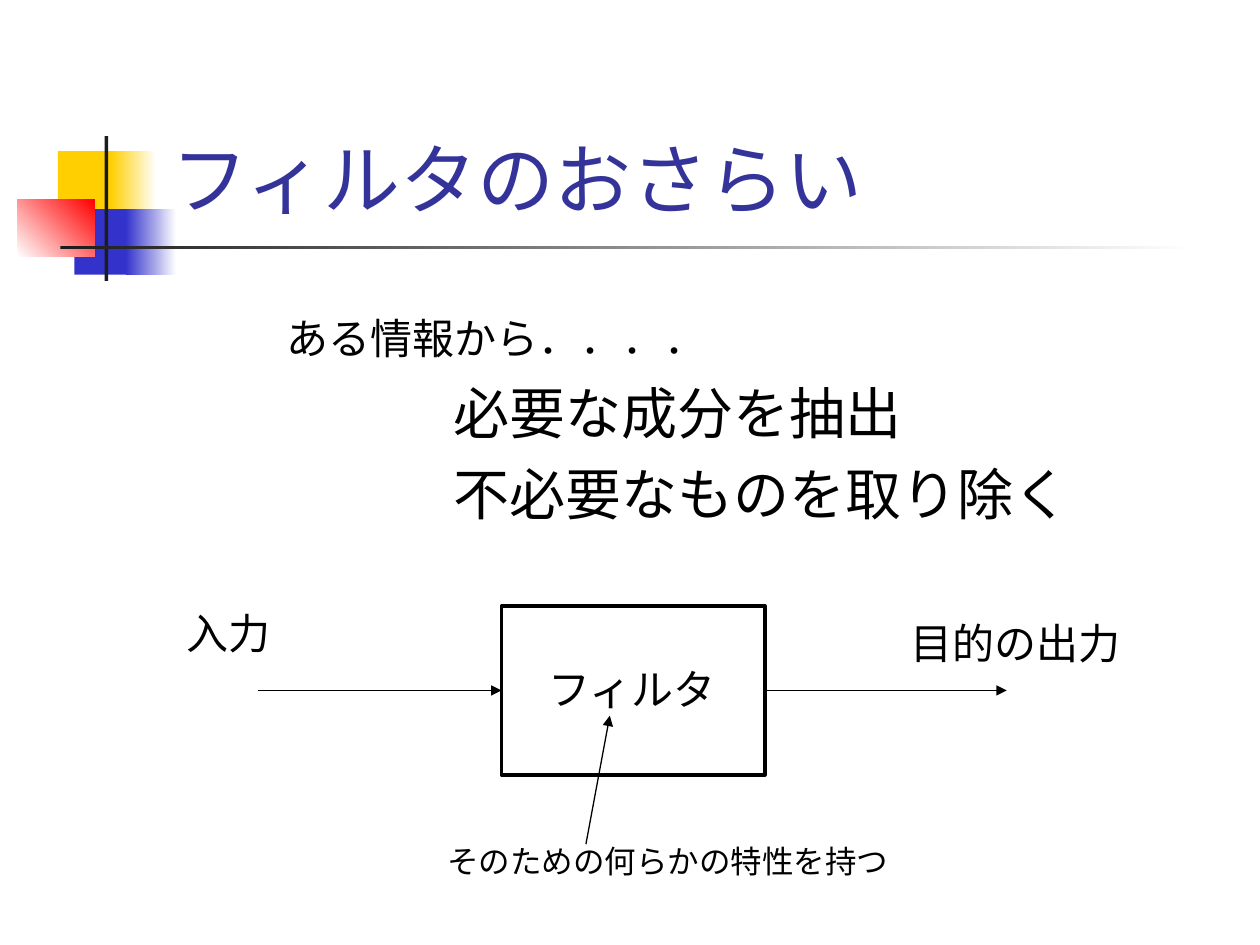
import pptx
import pptx.util
import pptx.dml.color
import pptx.enum.shapes
import pptx.enum.text
import pptx.oxml

Inches = pptx.util.Inches
Pt = pptx.util.Pt
Align = pptx.enum.text.PP_ALIGN
RECT = pptx.enum.shapes.MSO_SHAPE.RECTANGLE
STRAIGHT = pptx.enum.shapes.MSO_CONNECTOR.STRAIGHT
NS = 'xmlns:a="http://schemas.openxmlformats.org/drawingml/2006/main"'
HEX = {"gold": "FFCF01", "blue": "3333CC", "red": "FF0000", "dark": "1C1C1C",
       "title": "333399", "black": "000000", "white": "FFFFFF"}
RGB = {name: pptx.dml.color.RGBColor.from_string(code) for name, code in HEX.items()}


def style(para, size, face, color):
    for run in para.runs:
        run.font.size = Pt(size)
        run.font.name = face
        run.font.color.rgb = RGB[color]


def block(box, start, end=None, angle=0):
    shape = slide.shapes.add_shape(RECT, *map(Inches, box))
    shape.shadow.inherit = False
    shape.line.fill.background()
    if end is None:
        shape.fill.solid()
        shape.fill.fore_color.rgb = RGB[start]
    else:
        shape.fill.gradient()
        shape.fill.gradient_angle = angle
        for stop, color in zip(shape.fill.gradient_stops, (start, end)):
            stop.color.rgb = RGB[color]
    return shape


deck = pptx.Presentation()
deck.slide_width, deck.slide_height = Inches(10), Inches(7.5)
slide = deck.slides.add_slide(deck.slide_layouts[1])

block((0.46, 1.2, 0.48, 0.52), "gold")
block((0.88, 1.2, 0.36, 0.52), "gold", "white")
block((0.59, 1.66, 0.46, 0.52), "blue")
block((1, 1.66, 0.4, 0.52), "blue", "white")
block((0.14, 1.58, 0.61, 0.46), "white", "red", 45)
block((0.83, 1.08, 0.03, 1.15), "dark")
block((0.48, 1.95, 9, 0.03), "dark", "white")

title = slide.shapes.title
title.left, title.top, title.width, title.height = map(Inches, (1.26, 0.23, 8.52, 1.6))
frame = title.text_frame
frame.text = "フィルタのおさらい"
frame.auto_size = pptx.enum.text.MSO_AUTO_SIZE.NONE
frame.vertical_anchor = pptx.enum.text.MSO_ANCHOR.BOTTOM
frame.paragraphs[0].alignment = Align.LEFT
style(frame.paragraphs[0], 44, "Roboto", "title")

body = slide.placeholders[1]
body.left, body.top, body.width, body.height = map(Inches, (0.39, 1.7, 9, 4.92))
frame = body.text_frame
frame.auto_size = pptx.enum.text.MSO_AUTO_SIZE.NONE
frame.margin_top = Inches(0.78)
points = [("ある情報から．．．．", 24, 1.78, 0),
          ("必要な成分を抽出", 32, 3.11, 9),
          ("不必要なものを取り除く", 32, 3.11, 8)]
frame.text = "\n".join(point[0] for point in points)
for para, (text, size, indent, gap) in zip(frame.paragraphs, points):
    props = para._p.get_or_add_pPr()
    props.set("marL", str(Inches(indent)))
    props.set("indent", "0")
    props.append(pptx.oxml.parse_xml(f"<a:buNone {NS}/>"))
    para.space_before = Pt(gap)
    style(para, size, "Roboto", "black")

filter_box = block((3.98, 4.81, 2.09, 1.34), "white")
filter_box.line.color.rgb = RGB["black"]
filter_box.line.width = Pt(2)

for ends in [(2.05, 5.48, 3.98, 5.48), (6.06, 5.48, 7.99, 5.48), (4.65, 6.7, 4.84, 5.68)]:
    arrow = slide.shapes.add_connector(STRAIGHT, *map(Inches, ends))
    arrow.line.color.rgb = RGB["black"]
    arrow.line.width = Pt(0.75)
    arrow.line._get_or_add_ln().append(
        pptx.oxml.parse_xml(f'<a:tailEnd {NS} type="triangle"/>'))
    arrow._element.spPr.append(pptx.oxml.parse_xml(f"<a:effectLst {NS}/>"))

labels = [("フィルタ", (4.25, 5.22, 1.53, 0.5), 24, "Arial", Align.CENTER, False),
          ("入力", (1.38, 4.77, 1.57, 0.5), 24, "Arial", Align.LEFT, True),
          ("目的の出力", (7.13, 4.85, 2.16, 0.5), 24, "Arial", Align.LEFT, True),
          ("そのための何らかの特性を持つ", (3.45, 6.63, 3.7, 0.4), 18, "Roboto", Align.LEFT, False)]
for text, box, size, face, align, wrap in labels:
    frame = slide.shapes.add_textbox(*map(Inches, box)).text_frame
    frame.text = text
    frame.word_wrap = wrap
    frame.auto_size = pptx.enum.text.MSO_AUTO_SIZE.SHAPE_TO_FIT_TEXT
    frame.paragraphs[0].alignment = align
    style(frame.paragraphs[0], size, face, "black")

deck.save("out.pptx")
